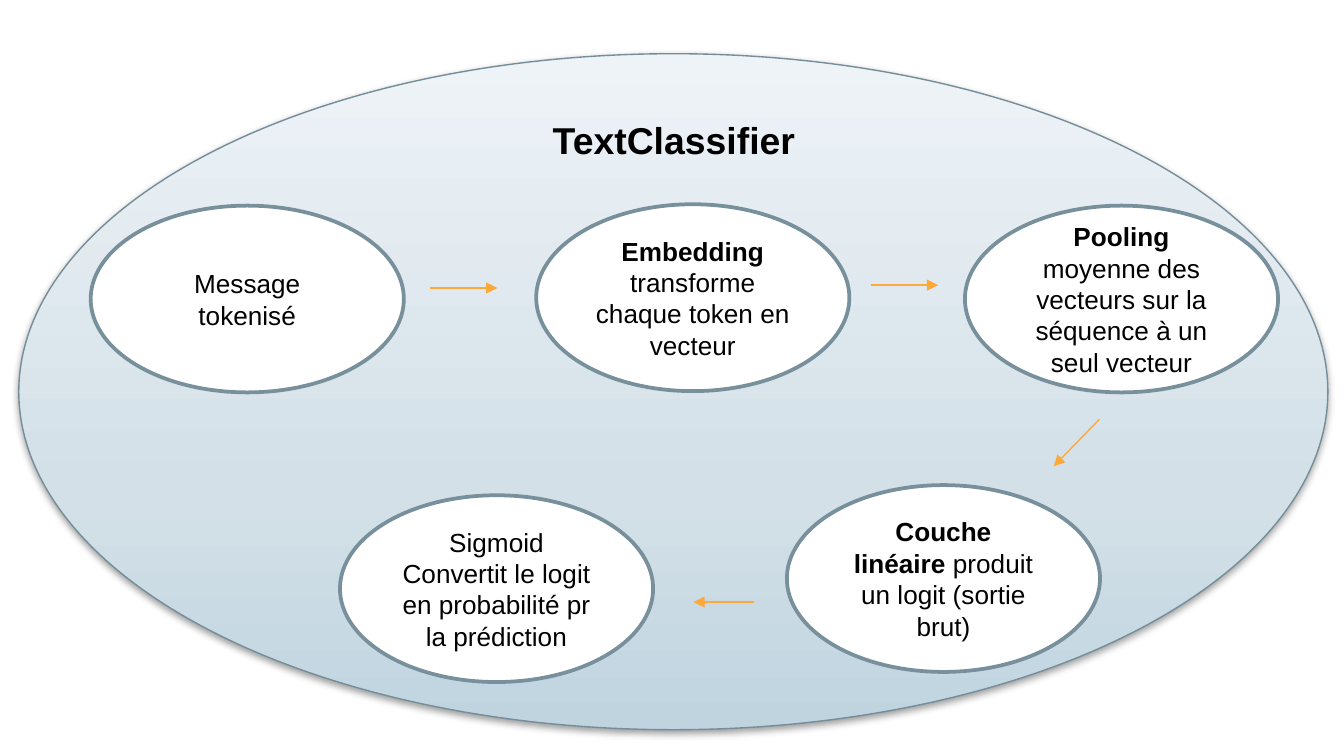
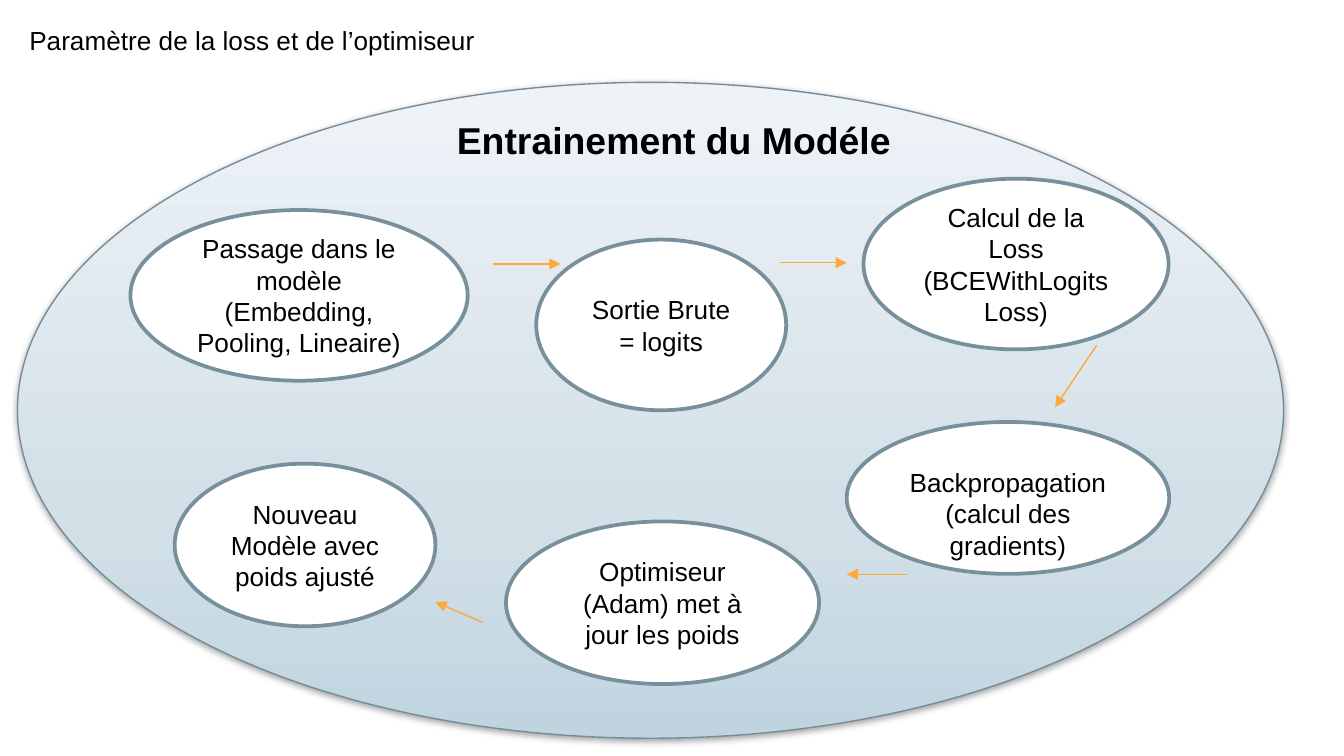
from dataclasses import dataclass
from lxml.etree import SubElement
from pptx import Presentation
from pptx.dml.color import RGBColor
from pptx.enum.shapes import MSO_CONNECTOR, MSO_SHAPE
from pptx.enum.text import MSO_ANCHOR, MSO_AUTO_SIZE, PP_ALIGN
from pptx.oxml import parse_xml
from pptx.oxml.ns import nsdecls, qn
from pptx.util import Inches, Pt


@dataclass(frozen=True)
class Theme:
    font: str = "Arial"
    ink: str = "000000"
    white: str = "FFFFFF"
    node_line: str = "78909C"
    frame_line: str = "748D99"
    arrow: str = "FEA83A"
    gradient: tuple = ((0, "C0D4E0"), (35, "D3E0E8"), (100, "EEF3F7"))
    title_size: int = 20
    body_size: int = 14
    node_width: float = 2
    thin_width: float = 0.75


THEME = Theme()
COLUMNS = 100
STEP = (23.3, 13.9)
TITLE_BOX = (30.1, 8.2, 40.1, 4.4)
NOTE_BOX = (1.2, 1.35, 36.6, 3.4)

SLIDES = [
    {
        "title": "TextClassifier",
        "frame": (1.4, 4, 97.4, 50.3),
        "nodes": [
            {"at": (6.75, 15.3, *STEP), "text": "Message tokenisé"},
            {"at": (39.9, 15.2, *STEP), "lead": "Embedding",
             "text": " transforme chaque token en vecteur"},
            {"at": (71.8, 15.3, *STEP), "lead": "Pooling",
             "text": " moyenne des vecteurs sur la séquence à un seul vecteur"},
            {"at": (58.55, 36.1, *STEP), "lead": "Couche linéaire ",
             "text": "produit un logit (sortie brut)"},
            {"at": (25.3, 36.85, *STEP),
             "text": "Sigmoid\nConvertit le logit en probabilité pr la prédiction"},
        ],
        "arrows": [(32, 21.43, 37, 21.43), (64.8, 21.22, 69.8, 21.22),
                   (81.8, 31.2, 78.4, 34.7), (56.1, 44.8, 51.6, 44.8)],
    },
    {
        "title": "Entrainement du Modéle",
        "note": "Paramètre de la loss et de l’optimiseur",
        "frame": (1.3, 6.13, 94.2, 48.8),
        "nodes": [
            {"at": (9.7, 15.63, 25.1, 12.7),
             "text": "Passage dans le modèle (Embedding, Pooling, Lineaire)"},
            {"at": (39.9, 17.83, 18.6, 12.7), "text": "Sortie Brute = logits"},
            {"at": (64.25, 13.3, 22.7, 12.7),
             "text": "Calcul de la Loss (BCEWithLogitsLoss)"},
            {"at": (63, 31.4, 24, 11.3), "drop": 2.3,
             "text": "Backpropagation (calcul des gradients)"},
            {"at": (37.65, 38.8, 23.3, 12.1),
             "text": "Optimiseur (Adam) met à jour les poids"},
            {"at": (13, 34.5, 19.4, 12.1),
             "text": "Nouveau Modèle avec poids ajusté"},
        ],
        "arrows": [(36.7, 19.64, 41.7, 19.64), (58, 19.55, 63, 19.55),
                   (81.6, 25.7, 78.5, 30.3), (67.5, 42.74, 63, 42.74),
                   (35.9, 46.3, 32.4, 44.8)],
    },
]

prs = Presentation()
prs.slide_width, prs.slide_height = Inches(10), Inches(10) * 9 // 16


def grid(*cells):
    return [round(c * prs.slide_width / COLUMNS) for c in cells]


def write(tf, text, lead="", size=THEME.body_size, bold=False,
          align=PP_ALIGN.CENTER):
    tf.word_wrap = True
    for i, line in enumerate(text.split("\n")):
        p = tf.paragraphs[0] if i == 0 else tf.add_paragraph()
        p.alignment = align
        for part, strong in ((lead if i == 0 else "", True), (line, bold)):
            if part:
                r = p.add_run()
                r.text = part
                r.font.name, r.font.size, r.font.bold = THEME.font, Pt(size), strong
                r.font.color.rgb = RGBColor.from_string(THEME.ink)


def set_line(sp, color, width):
    sp.line.color.rgb = RGBColor.from_string(color)
    sp.line.width = Pt(width)


def add_ellipse(slide, at, color, width):
    sp = slide.shapes.add_shape(MSO_SHAPE.OVAL, *grid(*at))
    sp.shadow.inherit = False
    set_line(sp, color, width)
    return sp


def add_frame(slide, at):
    sp = add_ellipse(slide, at, THEME.frame_line, THEME.thin_width)
    stops = "".join(f'<a:gs pos="{pos * 1000}"><a:srgbClr val="{color}"/></a:gs>'
                    for pos, color in THEME.gradient)
    fill = parse_xml(f'<a:gradFill {nsdecls("a")} rotWithShape="1"><a:gsLst>{stops}'
                     '</a:gsLst><a:lin ang="16200000" scaled="0"/></a:gradFill>')
    props = sp._element.spPr
    props.find(qn("a:prstGeom")).addnext(fill)
    shadow = parse_xml(f'<a:outerShdw {nsdecls("a")} blurRad="{Pt(3.1)}" '
                       f'dist="{Pt(1.6)}" dir="5400000" rotWithShape="0">'
                       f'<a:srgbClr val="{THEME.ink}"><a:alpha val="38000"/>'
                       '</a:srgbClr></a:outerShdw>')
    props.find(qn("a:effectLst")).append(shadow)


def add_node(slide, at, text, lead="", drop=0):
    sp = add_ellipse(slide, at, THEME.node_line, THEME.node_width)
    sp.fill.solid()
    sp.fill.fore_color.rgb = RGBColor.from_string(THEME.white)
    tf = sp.text_frame
    tf.vertical_anchor = MSO_ANCHOR.MIDDLE
    tf.margin_top += grid(drop)[0]
    write(tf, text, lead=lead)


def add_arrow(slide, ends):
    sp = slide.shapes.add_connector(MSO_CONNECTOR.STRAIGHT, *grid(*ends))
    set_line(sp, THEME.arrow, THEME.thin_width)
    SubElement(sp.line._get_or_add_ln(), qn("a:tailEnd"), type="triangle")
    SubElement(sp._element.spPr, qn("a:effectLst"))


def add_label(slide, at, text, **style):
    tf = slide.shapes.add_textbox(*grid(*at)).text_frame
    write(tf, text, **style)
    tf.auto_size = MSO_AUTO_SIZE.SHAPE_TO_FIT_TEXT


def build(content):
    slide = prs.slides.add_slide(prs.slide_layouts[6])
    add_frame(slide, content["frame"])
    for node in content["nodes"]:
        add_node(slide, **node)
    add_label(slide, TITLE_BOX, content["title"], size=THEME.title_size, bold=True)
    if "note" in content:
        add_label(slide, NOTE_BOX, content["note"], align=PP_ALIGN.LEFT)
    for ends in content["arrows"]:
        add_arrow(slide, ends)


def main():
    for content in SLIDES:
        build(content)
    prs.save("out.pptx")


if __name__ == "__main__":
    main()
